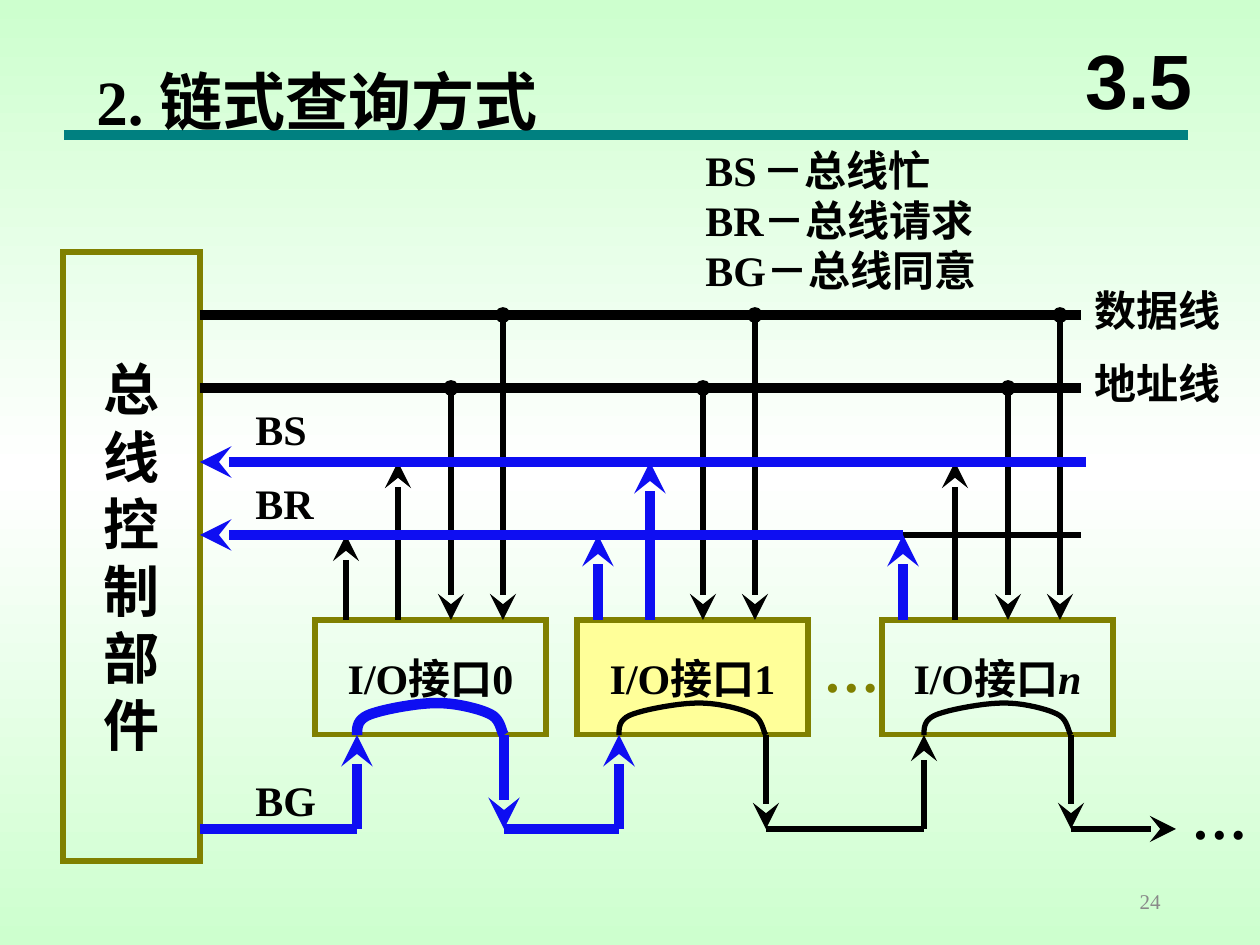
from copy import deepcopy

from lxml import etree
from pptx import Presentation
from pptx.dml.color import RGBColor
from pptx.enum.shapes import MSO_CONNECTOR, MSO_SHAPE
from pptx.enum.text import MSO_ANCHOR, MSO_AUTO_SIZE, PP_ALIGN
from pptx.oxml.ns import qn
from pptx.util import Emu, Pt

STRAIGHT, RECT = MSO_CONNECTOR.STRAIGHT, MSO_SHAPE.RECTANGLE
MIDDLE, GROW = MSO_ANCHOR.MIDDLE, MSO_AUTO_SIZE.SHAPE_TO_FIT_TEXT
LEFT, CENTER, RIGHT = PP_ALIGN.LEFT, PP_ALIGN.CENTER, PP_ALIGN.RIGHT

SCALE = 914400 / 126
COLORS = {"black": "000000", "blue": "0E0EF2", "olive": "808000", "teal": "008080",
          "yellow": "FFFF99", "grey": "898989", "mint": "CDFFCE", "white": "FFFFFF"}
SERIF = "Times New Roman"

BUS_LEFT, BUS_RIGHT = 200, 1081
DATA_Y, ADDRESS_Y, BS_Y, BR_Y, BG_Y = 315, 388, 462, 535, 829
BOX_TOP, BOX_W, BOX_H = 620, 231, 115
BOX_BOTTOM = BOX_TOP + BOX_H
GRANT_IN, GRANT_OUT = 42, 189   # offsets of the BG ports from a box's left side
PORT_GAP = 52
# left side, first top port, number, fill, colours of BR, BS, BG in and BG through
INTERFACES = [
    (315, 346, "0", None, "black", "black", "blue", "blue"),
    (577, 598, "1", "yellow", "blue", "blue", "blue", "black"),
    (882, 903, "n", None, "blue", "black", "black", "black"),
]


def px(n):
    return Emu(round(n * SCALE))


def rgb(name):
    return RGBColor.from_string(COLORS[name])


def weight(color):
    return 6 if color == "blue" else 3


def set_line(sp, color, width):
    """Set colour and width, and return the line element."""
    sp.line.color.rgb = rgb(color)
    sp.line.width = Pt(width)
    return sp.element.spPr.find(qn("a:ln"))


def write(tf, paragraphs, align=LEFT, **font):
    """Fill a text frame; each paragraph is a list of (text, font overrides)."""
    base = {"size": 24, "name": SERIF, "bold": True, "color": "black", **font}
    for i, runs in enumerate(paragraphs):
        p = tf.paragraphs[0] if i == 0 else tf.add_paragraph()
        p.alignment = align
        for text, extra in runs:
            r = p.add_run()
            r.text = text
            values = {**base, **extra}
            r.font.color.rgb = rgb(values.pop("color"))
            values["size"] = Pt(values["size"])
            for key, value in values.items():
                setattr(r.font, key, value)


def add_text(slide, box, paragraphs, wrap=False, anchor=None, **font):
    tf = slide.shapes.add_textbox(*map(px, box)).text_frame
    tf.word_wrap = wrap
    if anchor is None:
        tf.auto_size = GROW
    else:
        tf.vertical_anchor = anchor
    write(tf, paragraphs, **font)


def add_box(slide, box, paragraphs, fill=None, **font):
    sp = slide.shapes.add_shape(RECT, *map(px, box))
    sp.shadow.inherit = False
    if fill:
        sp.fill.solid()
        sp.fill.fore_color.rgb = rgb(fill)
    else:
        sp.fill.background()
    etree.SubElement(set_line(sp, "olive", 3), qn("a:miter"), lim="800000")
    tf = sp.text_frame
    tf.word_wrap = False
    tf.vertical_anchor = MIDDLE
    write(tf, paragraphs, align=CENTER, **font)


def add_wire(slide, x1, y1, x2, y2, color="black", width=None, head=None, tail=None):
    sp = slide.shapes.add_connector(STRAIGHT, px(x1), px(y1), px(x2), px(y2))
    ln = set_line(sp, color, width or weight(color))
    for tag, kind in (("a:headEnd", head), ("a:tailEnd", tail)):
        if kind:
            size = "lg" if kind == "stealth" and color == "black" else "med"
            etree.SubElement(ln, qn(tag), type=kind, w=size, len=size)
    etree.SubElement(sp.element.spPr, qn("a:effectLst"))


def add_arch(slide, left, color):
    """Carry BG over from the entry port to the exit port inside a box."""
    curves = [
        [(0, 32), (0, 24), (0, 16), (14, 11)],
        [(14, 11), (28, 6), (60, 0), (80, 0)],
        [(80, 0), (100, 0), (123, 6), (133, 11)],
        [(133, 11), (144, 16), (144, 29), (147, 32)],
    ]
    steps = 10
    points = []
    for curve in curves:
        for k in range(1, steps + 1):
            t = k / steps
            weights = ((1 - t) ** 3, 3 * t * (1 - t) ** 2, 3 * t * t * (1 - t), t ** 3)
            x, y = (sum(w * c for w, c in zip(weights, axis)) for axis in zip(*curve))
            points.append((px(left + x), px(BOX_BOTTOM - 32 + y)))
    builder = slide.shapes.build_freeform(px(left), px(BOX_BOTTOM))
    builder.add_line_segments(points, close=False)
    sp = builder.convert_to_shape()
    sp.shadow.inherit = False
    sp.fill.background()
    set_line(sp, color, weight(color))


def add_interface(slide, left, port, number, fill, br, bs, grant_in, through):
    label = [[("I/O接口", {}), (number, {"italic": number == "n"})]]
    add_box(slide, (left, BOX_TOP, BOX_W, BOX_H), label, fill)
    for i, (y, color) in enumerate([(BR_Y, br), (BS_Y, bs)]):
        x = port + i * PORT_GAP
        add_wire(slide, x, BOX_TOP, x, y, color, tail="stealth")
    for i, y in enumerate([ADDRESS_Y, DATA_Y], start=2):
        x = port + i * PORT_GAP + 1
        add_wire(slide, x, y, x, BOX_TOP, head="oval", tail="stealth")
    x_in, x_out = left + GRANT_IN, left + GRANT_OUT
    add_arch(slide, x_in, through)
    add_wire(slide, x_in, BG_Y, x_in, BOX_BOTTOM, grant_in, tail="stealth")
    add_wire(slide, x_out, BOX_BOTTOM, x_out, BG_Y, through, tail="stealth")


def add_grant_chain(slide):
    start = BUS_LEFT
    for left, *_, grant_in, _through in INTERFACES:
        add_wire(slide, start, BG_Y, left + GRANT_IN, BG_Y, grant_in)
        start = left + GRANT_OUT
    add_wire(slide, start, BG_Y, 1176, BG_Y, tail="stealth")


def set_background(slide):
    fill = slide.background.fill
    fill.gradient()
    fill.gradient_angle = 90
    stops = slide.element.find(".//" + qn("a:gsLst"))
    stops.append(deepcopy(stops[0]))
    for stop, color, position in zip(fill.gradient_stops, ("mint", "white", "mint"), (0, 0.5, 1)):
        stop.color.rgb = rgb(color)
        stop.position = position


def main():
    prs = Presentation()
    prs.slide_width, prs.slide_height = px(1260), px(945)
    slide = prs.slides.add_slide(prs.slide_layouts[6])
    set_background(slide)

    add_wire(slide, 64, 135, 1188, 135, "teal", 6)
    add_text(slide, (84, 56, 607, 88), [[("2. 链式查询方式", {})]], wrap=True, size=36)
    add_text(slide, (1060, 21, 158, 116), [[("3.5", {})]], wrap=True, anchor=MIDDLE,
             align=CENTER, size=44, name="Arial")

    add_box(slide, (63, 252, 137, 609), [[(c, {})] for c in "总线控制部件"], size=32)
    for y, label in ((DATA_Y, "数据线"), (ADDRESS_Y, "地址线")):
        add_wire(slide, BUS_LEFT, y, BUS_RIGHT, y, width=6)
        add_text(slide, (1082, y - 37, 160, 63), [[(label, {})]])

    last_port = INTERFACES[-1][1]
    add_wire(slide, last_port, BR_Y, BUS_RIGHT, BR_Y)
    for interface in INTERFACES:
        add_interface(slide, *interface)
    add_wire(slide, 1086, BS_Y, BUS_LEFT, BS_Y, "blue", tail="stealth")
    add_wire(slide, last_port, BR_Y, BUS_LEFT, BR_Y, "blue", tail="stealth")
    add_grant_chain(slide)

    for y, label in ((397, "BS"), (471, "BR"), (768, "BG")):
        add_text(slide, (243, y, 100, 63), [[(label, {})]], wrap=True)
    for x, y, color in ((811, 630, "olive"), (1179, 777, "black")):
        add_text(slide, (x, y, 81, 81), [[("…", {})]], size=32, color=color)
    legend = [
        [("BS", {}), (" ", {"size": 14}), ("－总线忙", {})],
        [("BR－总线请求", {})],
        [("BG－总线同意", {})],
    ]
    add_text(slide, (693, 138, 374, 164), legend, wrap=True)
    add_text(slide, (889, 876, 284, 50), [[("24", {})]], wrap=True, anchor=MIDDLE,
             align=RIGHT, size=12, bold=False, color="grey")
    prs.save("out.pptx")


if __name__ == "__main__":
    main()
